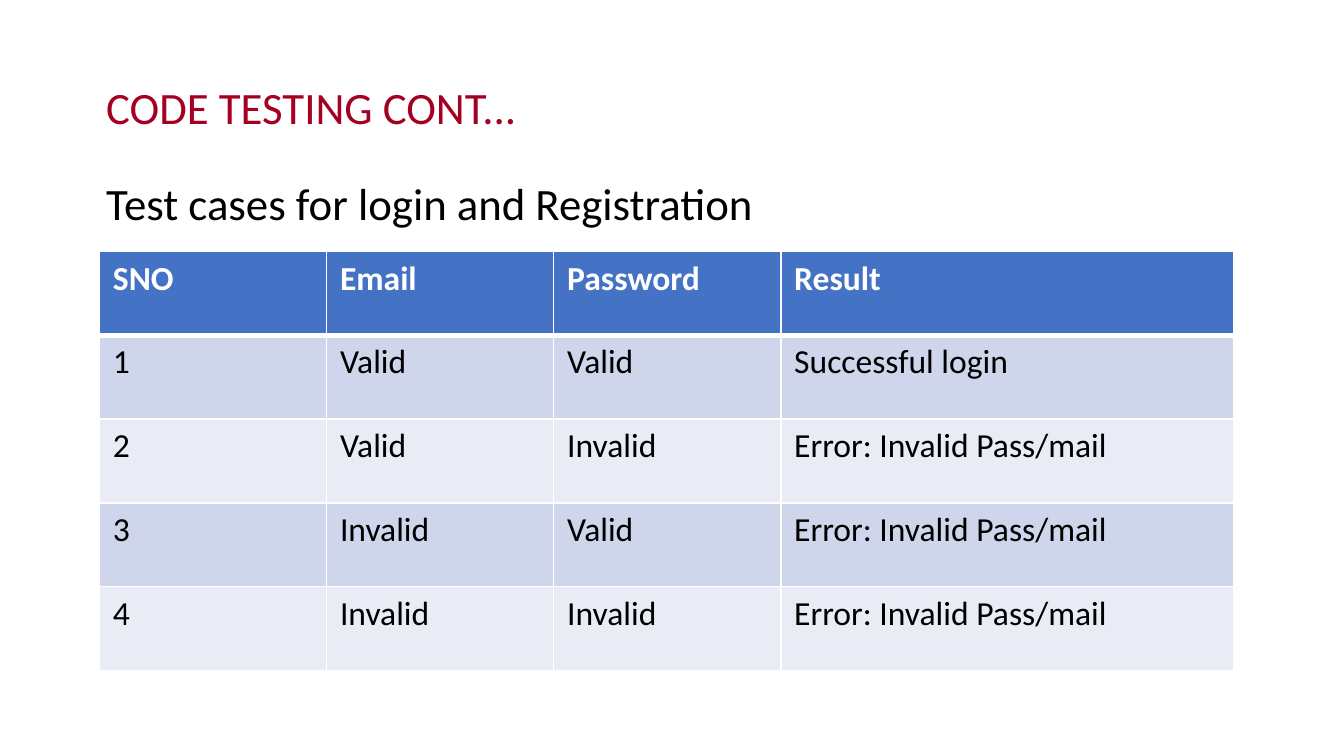
from lxml.etree import SubElement
from pptx import Presentation
from pptx.dml.color import RGBColor
from pptx.enum.text import MSO_ANCHOR, PP_ALIGN
from pptx.oxml.ns import qn
from pptx.util import Inches, Pt

FONT = "Calibri"
CRIMSON = RGBColor(0xA5, 0x00, 0x21)
BLACK = RGBColor(0x00, 0x00, 0x00)
WHITE = RGBColor(0xFF, 0xFF, 0xFF)
HEADER_BLUE = RGBColor(0x44, 0x72, 0xC4)
BAND_DARK = RGBColor(0xCF, 0xD5, 0xEA)
BAND_LIGHT = RGBColor(0xE9, 0xEB, 0xF5)

HEADINGS = [("CODE TESTING CONT...", CRIMSON),
            ("Test cases for login and Registration", BLACK)]
TEST_CASES = [
    ("SNO", "Email", "Password", "Result"),
    ("1", "Valid", "Valid", "Successful login"),
    ("2", "Valid", "Invalid", "Error: Invalid Pass/mail"),
    ("3", "Invalid", "Valid", "Error: Invalid Pass/mail"),
    ("4", "Invalid", "Invalid", "Error: Invalid Pass/mail"),
]
COLUMN_WIDTHS = [1.69, 1.69, 1.69, 3.37]
TABLE_HEIGHT = Inches(3.12)


def add_span(para, text, size, color, bold=False):
    span = para.add_run()
    span.text = text
    span.font.name = FONT
    span.font.size = Pt(size)
    span.font.bold = bold
    span.font.color.rgb = color


def add_border(cell, side, width):
    """Draw a white line on one side (L, R, T or B); call before filling the cell."""
    line = SubElement(cell._tc.get_or_add_tcPr(), qn(f"a:ln{side}"), w=str(Pt(width)))
    fill = SubElement(line, qn("a:solidFill"))
    SubElement(fill, qn("a:srgbClr"), val=str(WHITE))


deck = Presentation()
deck.slide_width = Inches(10)
deck.slide_height = deck.slide_width * 9 // 16
page = deck.slides.add_slide(deck.slide_layouts[5])

# Title with its subheading
title = page.shapes.title
title.left, title.top = Inches(0.69), Inches(0.3)
title.width, title.height = Inches(8.62), Inches(1.75)
frame = title.text_frame
frame.word_wrap = True
frame.vertical_anchor = MSO_ANCHOR.MIDDLE
for index, (text, color) in enumerate(HEADINGS):
    para = frame.add_paragraph() if index else frame.paragraphs[0]
    para.alignment = PP_ALIGN.LEFT
    para.line_spacing = 0.9
    para.space_before = Pt(26 * index)
    add_span(para, text, 24, color)

# Table of test cases
table = page.shapes.add_table(
    len(TEST_CASES), len(COLUMN_WIDTHS), Inches(0.74), Inches(1.87),
    Inches(sum(COLUMN_WIDTHS)), TABLE_HEIGHT).table
for column, width in zip(table.columns, COLUMN_WIDTHS):
    column.width = Inches(width)
for row_index, values in enumerate(TEST_CASES):
    is_header = row_index == 0
    table.rows[row_index].height = TABLE_HEIGHT // len(TEST_CASES)
    if is_header:
        row_fill = HEADER_BLUE
    else:
        row_fill = BAND_DARK if row_index % 2 else BAND_LIGHT
    for column_index, text in enumerate(values):
        cell = table.cell(row_index, column_index)
        for side in "LRTB":
            at_header_edge = (row_index, side) in [(0, "B"), (1, "T")]
            add_border(cell, side, 3 if at_header_edge else 1)
        cell.fill.solid()
        cell.fill.fore_color.rgb = row_fill
        add_span(cell.text_frame.paragraphs[0], text, 18,
                 WHITE if is_header else BLACK, bold=is_header)

deck.save("out.pptx")
